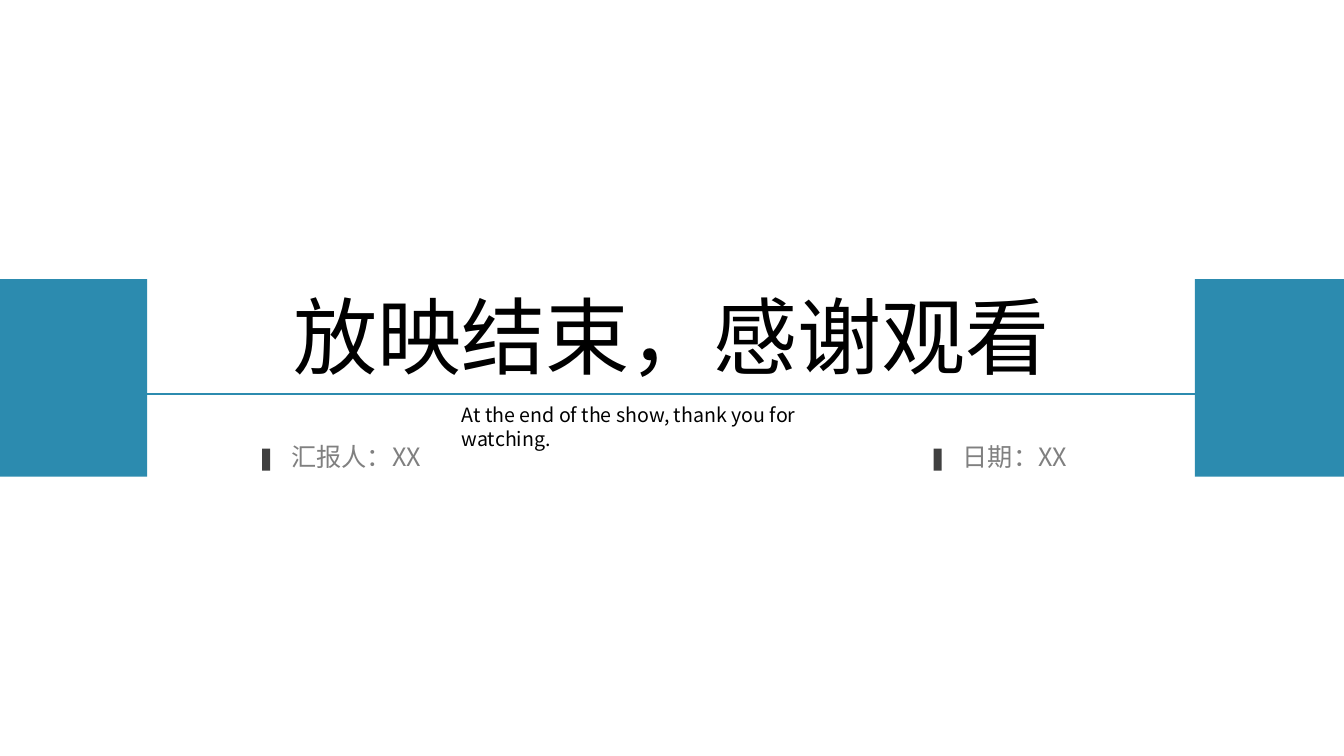
import pptx
import pptx.dml.color
import pptx.enum.shapes
import pptx.enum.text
import pptx.oxml.ns
import pptx.util
from lxml import etree

EMU_PER_PX = 9144  # 100 px to the inch
FONT = "Noto Sans CJK SC"
COLOURS = {
    "background": "FFFFFF",
    "band": "2C8BAF",
    "marker": "404040",
    "title": "000000",
    "label": "808080",
}


def px(length):
    return pptx.util.Emu(length * EMU_PER_PX)


def colour(name):
    return pptx.dml.color.RGBColor.from_string(COLOURS[name])


def add_block(slide, left, top, width, height, fill):
    block = slide.shapes.add_shape(
        pptx.enum.shapes.MSO_SHAPE.RECTANGLE,
        px(left), px(top), px(width), px(height))
    block.shadow.inherit = False
    block.fill.solid()
    block.fill.fore_color.rgb = colour(fill)
    block.line.fill.background()


def add_text(slide, left, top, width, height, text, size, text_colour):
    box = slide.shapes.add_textbox(px(left), px(top), px(width), px(height))
    frame = box.text_frame
    frame.text = text
    frame.word_wrap = True
    frame.auto_size = pptx.enum.text.MSO_AUTO_SIZE.SHAPE_TO_FIT_TEXT
    span = frame.paragraphs[0].runs[0]
    span.font.size = pptx.util.Pt(size)
    span.font.name = FONT
    span.font.color.rgb = colour(text_colour)
    east_asian = etree.SubElement(
        span.font._element, pptx.oxml.ns.qn("a:ea"))
    east_asian.set("typeface", FONT)


def add_rule(slide, left, right, top):
    rule = slide.shapes.add_connector(
        pptx.enum.shapes.MSO_CONNECTOR.STRAIGHT,
        px(left), px(top), px(right), px(top))
    rule.line.color.rgb = colour("band")
    rule.line.width = pptx.util.Pt(1.5)
    etree.SubElement(
        rule._element.spPr, pptx.oxml.ns.qn("a:effectLst"))


def add_marked_label(slide, left, text):
    add_block(slide, left, 445, 8, 22, "marker")
    add_text(slide, left + 19, 433, 192, 40, text, 18, "label")


def main():
    deck = pptx.Presentation()
    deck.slide_width = px(1333)
    deck.slide_height = px(750)
    slide = deck.slides.add_slide(deck.slide_layouts[6])
    slide.background.fill.solid()
    slide.background.fill.fore_color.rgb = colour("background")

    add_text(slide, 281, 277, 770, 111, "放映结束，感谢观看", 60, "title")
    add_text(slide, 448, 395, 437, 34,
             "At the end of the show, thank you for watching.", 14, "title")
    for left in (1185, -2):
        add_block(slide, left, 277, 148, 196, "band")
    for left, text in ((260, "汇报人：XX"), (926, "日期：XX")):
        add_marked_label(slide, left, text)
    add_rule(slide, 126, 1185, 391)

    deck.save("out.pptx")


if __name__ == "__main__":
    main()
